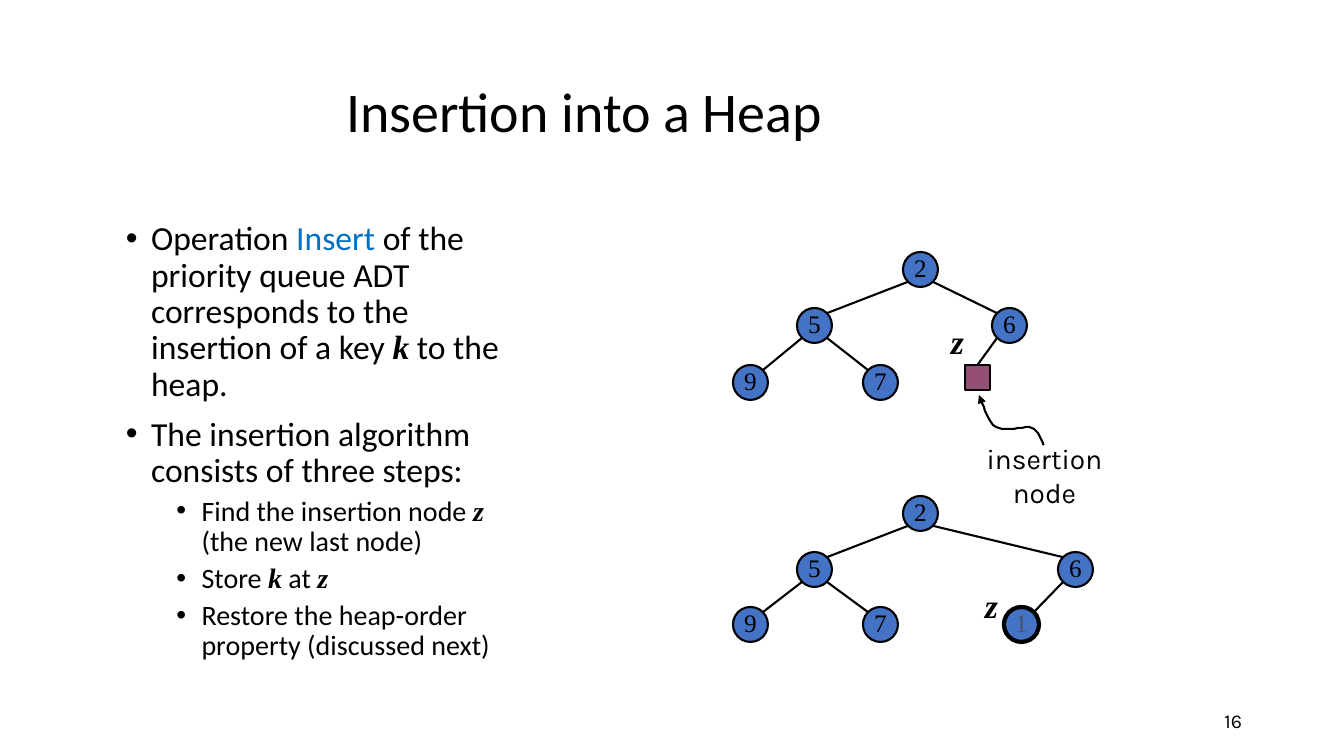
import pptx
import pptx.util
import pptx.dml.color
import pptx.enum.shapes
import pptx.enum.text
import lxml.etree
from dataclasses import dataclass

SHAPE = pptx.enum.shapes.MSO_SHAPE
ALIGN = pptx.enum.text.PP_ALIGN
ANCHOR = pptx.enum.text.MSO_ANCHOR


@dataclass
class Theme:
    ink: str = "000000"
    accent: str = "0070C0"
    node: str = "4472C4"
    slot: str = "954F72"
    new_key: str = "44546A"
    sans: str = "Calibri"
    label: str = "Karla"
    serif: str = "Times New Roman"
    title_size: int = 40
    body_size: int = 24
    step_size: int = 20
    key_size: int = 18
    number_size: int = 14
    thin: float = 1.5
    thick: float = 3


theme = Theme()
SCALE = 914400 / 100.8
NODE, SLOT = 35, 25

TITLE = "Insertion into a Heap"
BODY = [
    (0, [("Operation ", ""), ("Insert", "accent"),
         (" of the priority queue ADT corresponds to the insertion of a key ", ""),
         ("k", "variable"), (" to the heap.", "")]),
    (0, [("The insertion algorithm consists of three steps:", "")]),
    (1, [("Find the insertion node ", ""), ("z", "variable"), (" (the new last node)", "")]),
    (1, [("Store ", ""), ("k", "variable"), (" at ", ""), ("z", "variable")]),
    (1, [("Restore the heap-order property (discussed next)", "")]),
]
HEAPS = [
    {"2": (903, 252), "5": (797, 308), "6": (992, 308),
     "9": (733, 365), "7": (863, 365), "": (965, 365)},
    {"2": (903, 496), "5": (797, 552), "6": (1058, 552),
     "9": (733, 607), "7": (863, 607), "1": (1004, 607)},
]
CHILDREN = {"2": "56", "5": "97", "6": ("", "1")}
Z_LABELS = [(941, 316), (975, 580)]
ARROW = [(1044, 445), (1042, 443), (1040, 431), (1032, 428), (1024, 425),
         (1004, 433), (996, 427), (987, 421), (982, 401), (979, 395)]


def emu(pixels):
    return pptx.util.Emu(round(pixels * SCALE))


def rgb(code):
    return pptx.dml.color.RGBColor.from_string(code)


def style(span, size, font, color=theme.ink, emphasis=False):
    span.font.size = pptx.util.Pt(size)
    span.font.name = font
    span.font.color.rgb = rgb(color)
    span.font.bold = span.font.italic = emphasis


def outline(line, width=theme.thin):
    line.color.rgb = rgb(theme.ink)
    line.width = pptx.util.Pt(width)


def add_text(text, left, top, width, height, size, font, align, wrap=True, emphasis=False):
    box = page.shapes.add_textbox(emu(left), emu(top), emu(width), emu(height))
    frame = box.text_frame
    frame.text = text
    frame.word_wrap = wrap
    para = frame.paragraphs[0]
    para.alignment = align
    style(para.runs[0], size, font, emphasis=emphasis)
    return frame


def add_node(key, left, top):
    size = NODE if key else SLOT
    kind = SHAPE.OVAL if key else SHAPE.RECTANGLE
    shape = page.shapes.add_shape(kind, emu(left), emu(top), emu(size), emu(size))
    shape.shadow.inherit = False
    shape.fill.solid()
    shape.fill.fore_color.rgb = rgb(theme.node if key else theme.slot)
    is_new = key == "1"
    outline(shape.line, theme.thick if is_new else theme.thin)
    if key:
        frame = shape.text_frame
        frame.text = key
        frame.word_wrap = False
        frame.vertical_anchor = ANCHOR.MIDDLE
        frame.margin_left = frame.margin_right = frame.margin_top = 0
        frame.margin_bottom = emu(5)
        frame.paragraphs[0].alignment = ALIGN.CENTER
        style(frame.paragraphs[0].runs[0], theme.key_size, theme.serif,
              theme.new_key if is_new else theme.ink)


def add_edge(parent, child, to_slot):
    near, far = 0.15 * NODE, 0.85 * NODE
    goes_left = child[0] < parent[0]
    start = (parent[0] + (near if goes_left else far), parent[1] + far)
    if to_slot:
        end = (child[0] + SLOT / 2, child[1])
    else:
        end = (child[0] + (far if goes_left else near), child[1] + near)
    edge = page.shapes.add_connector(pptx.enum.shapes.MSO_CONNECTOR.STRAIGHT,
                                     *map(emu, start + end))
    outline(edge.line)
    lxml.etree.SubElement(edge._element.spPr, pptx.oxml.ns.qn("a:effectLst"))


def curve(points, steps=10):
    for first in range(0, len(points) - 1, 3):
        a, b, c, d = points[first:first + 4]
        for step in range(1, steps + 1):
            t = step / steps
            u = 1 - t
            yield tuple(u**3 * a[i] + 3 * u * u * t * b[i] + 3 * u * t * t * c[i] + t**3 * d[i]
                        for i in (0, 1))


def add_arrow(points):
    builder = page.shapes.build_freeform(*points[0], scale=SCALE)
    builder.add_line_segments(list(curve(points)), close=False)
    arrow = builder.convert_to_shape()
    arrow.shadow.inherit = False
    arrow.fill.background()
    outline(arrow.line)
    lxml.etree.SubElement(arrow.line._get_or_add_ln(), pptx.oxml.ns.qn("a:tailEnd"), type="triangle")


def add_body(left, top, width, height):
    box = page.shapes.add_textbox(emu(left), emu(top), emu(width), emu(height))
    frame = box.text_frame
    frame.word_wrap = True
    for index, (level, parts) in enumerate(BODY):
        para = frame.add_paragraph() if index else frame.paragraphs[0]
        para.level = level
        para.line_spacing = 0.9
        para.space_before = pptx.util.Pt(5 if level else 10)
        props = para._p.get_or_add_pPr()
        props.set("marL", str(pptx.util.Inches(0.25 + 0.5 * level)))
        props.set("indent", str(-pptx.util.Inches(0.25)))
        lxml.etree.SubElement(props, pptx.oxml.ns.qn("a:buFont"), typeface="Arial")
        lxml.etree.SubElement(props, pptx.oxml.ns.qn("a:buChar"), char="•")
        for text, role in parts:
            span = para.add_run()
            span.text = text
            variable = role == "variable"
            style(span, theme.step_size if level else theme.body_size,
                  theme.serif if variable else theme.sans,
                  theme.accent if role == "accent" else theme.ink, variable)


deck = pptx.Presentation()
deck.slide_width, deck.slide_height = emu(1344), emu(756)
page = deck.slides.add_slide(deck.slide_layouts[5])

title = page.shapes.title
title.left, title.top, title.width, title.height = map(emu, (336, 68, 705, 93))
title.text_frame.text = TITLE
title.text_frame.vertical_anchor = ANCHOR.MIDDLE
heading = title.text_frame.paragraphs[0]
heading.alignment = ALIGN.LEFT
heading.line_spacing = 0.9
style(heading.runs[0], theme.title_size, theme.sans)

add_body(116, 217, 428, 512)

for heap in HEAPS:
    for key, corner in heap.items():
        add_node(key, *corner)
    for parent, children in CHILDREN.items():
        for child in children:
            if child in heap:
                add_edge(heap[parent], heap[child], child == "")

add_arrow(ARROW)
add_text("insertion node", 947, 437, 195, 76, theme.step_size, theme.label, ALIGN.CENTER)
for left, top in Z_LABELS:
    add_text("z", left, top, 33, 50, theme.body_size, theme.serif, ALIGN.CENTER, False, True)
number = add_text("16", 950, 701, 302, 40, theme.number_size, theme.label, ALIGN.RIGHT)
number.vertical_anchor = ANCHOR.MIDDLE

deck.save("out.pptx")
